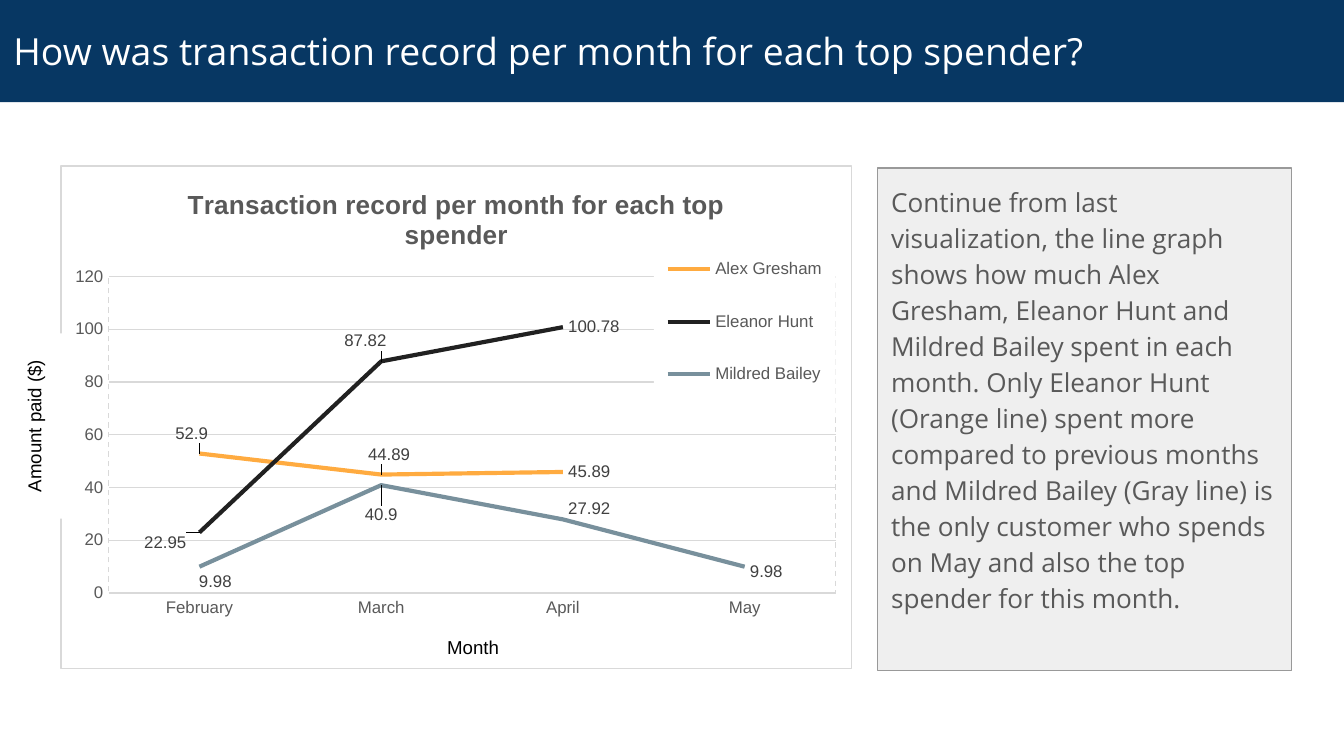
"""Build a slide with a line chart of monthly spending and a commentary panel."""
from pptx import Presentation
from pptx.chart.data import CategoryChartData
from pptx.dml.color import RGBColor
from pptx.enum.chart import XL_CHART_TYPE as CT, XL_LABEL_POSITION as LP
from pptx.enum.chart import XL_LEGEND_POSITION as LEG, XL_TICK_MARK as TICK
from pptx.enum.text import MSO_ANCHOR as ANCHOR, MSO_AUTO_SIZE as FIT, PP_ALIGN as AL
from pptx.oxml import parse_xml
from pptx.oxml.ns import nsdecls, qn
from pptx.util import Inches, Pt


def rgb(h):
    return RGBColor.from_string(h)


def layout(parent, index, values, mode):
    for old in parent.findall(qn("c:layout")):
        parent.remove(old)
    tags = "".join(f'<c:{k} val="{v}"/>' for k, v in zip("xywh", values))
    modes = "".join(f'<c:{k}Mode val="edge"/>' for k in "xy") if mode == "edge" else ""
    target = '<c:layoutTarget val="inner"/>' if parent.tag == qn("c:plotArea") else ""
    parent.insert(index, parse_xml(
        f'<c:layout {nsdecls("c")}><c:manualLayout>{target}{modes}{tags}'
        "</c:manualLayout></c:layout>"))


prs = Presentation()
prs.slide_width, prs.slide_height = Inches(10), Inches(10 * 9 / 16)
s = prs.slides.add_slide(prs.slide_layouts[1])
title, body = s.placeholders

panels = [
    (title, (0, 0, 10, 0.76), "073763", None, ANCHOR.MIDDLE, 20, "FFFFFF",
     "How was transaction record per month for each top spender?"),
    (body, (6.53, 1.25, 3.08, 3.74), "EFEFEF", "999999", ANCHOR.TOP, 14, "595959",
     "Continue from last visualization, the line graph shows how much Alex Gresham, "
     "Eleanor Hunt and Mildred Bailey spent in each month. Only Eleanor Hunt (Orange "
     "line) spent more compared to previous months and Mildred Bailey (Gray line) is "
     "the only customer who spends on May and also the top spender for this month."),
]
for sp, box, fill, line, anchor, size, color, text in panels:
    sp.left, sp.top, sp.width, sp.height = map(Inches, box)
    sp.fill.solid()
    sp.fill.fore_color.rgb = rgb(fill)
    if line:
        sp.line.color.rgb, sp.line.width = rgb(line), Pt(0.75)
    tf = sp.text_frame
    tf.text = text
    fmt = dict(word_wrap=True, auto_size=FIT.NONE, vertical_anchor=anchor)
    fmt.update({f"margin_{side}": Inches(0.1) for side in ("left", "right", "top", "bottom")})
    for k, v in fmt.items():
        setattr(tf, k, v)
    p = tf.paragraphs[0]
    p.alignment, p.space_before = AL.LEFT, Pt(0)
    f = p.runs[0].font
    f.name, f.size, f.color.rgb = "Open Sans", Pt(size), rgb(color)

p.line_spacing, p.space_after = 1.15, Pt(16)
pPr = p._p.get_or_add_pPr()
pPr.set("marL", "0")
pPr.set("indent", "0")
pPr.append(parse_xml(f'<a:buNone {nsdecls("a")}/>'))

spenders = [
    ("Alex Gresham", "FFAB40", (52.9, 44.89, 45.89, None),
     [(LP.ABOVE, -0.01, -0.01), (LP.ABOVE, 0.01, -0.01), (LP.RIGHT, 0, 0)]),
    ("Eleanor Hunt", "212121", (22.95, 87.82, 100.78, None),
     [(LP.LEFT, -0.01, 0.02), (LP.ABOVE, -0.02, -0.01), (LP.RIGHT, 0, 0)]),
    ("Mildred Bailey", "78909C", (9.98, 40.9, 27.92, 9.98),
     [(LP.BELOW, 0.02, 0), (LP.BELOW, 0, 0.03), (LP.RIGHT, 0, -0.02), (LP.RIGHT, 0, 0.01)]),
]
cd = CategoryChartData()
cd.categories = ["February", "March", "April", "May"]
for name, color, values, labels in spenders:
    cd.add_series(name, values)
chart = s.shapes.add_chart(CT.LINE, *map(Inches, (0.45, 1.23, 5.89, 3.75)), cd).chart
chart.has_title = chart.has_legend = True
chart.chart_title.text_frame.text = "Transaction record per month for each top spender"
chart.legend.position, chart.legend.include_in_layout = LEG.BOTTOM, False
cat, val = chart.category_axis, chart.value_axis
fonts = [
    (chart.font, 10, "000000", False),
    (chart.chart_title.text_frame.paragraphs[0].runs[0].font, 14, "595959", True),
    (chart.legend.font, 9, "595959", False),
    (cat.tick_labels.font, 9, "595959", False),
    (val.tick_labels.font, 9, "595959", False),
]

for ser, (name, color, values, labels) in zip(chart.plots[0].series, spenders):
    ser.smooth = False
    ser.format.line.color.rgb, ser.format.line.width = rgb(color), Pt(2.25)
    dls = ser.data_labels
    dls.show_value = True
    fonts.append((dls.font, 9, "404040", False))
    for i, (position, dx, dy) in enumerate(labels):
        dl = ser.points[i].data_label
        fonts.append((dl.font, 9, "404040", False))
        dl.position = position
        layout(dls._element.findall(qn("c:dLbl"))[i], 1, (dx, dy), "offset")
    dls._element.append(parse_xml(
        f'<c:extLst {nsdecls("c")}><c:ext uri="{{CE6537A1-D6FC-4f65-9D91-7224C49458BB}}" '
        'xmlns:c15="http://schemas.microsoft.com/office/drawing/2012/chart">'
        '<c15:showLeaderLines val="0"/></c:ext></c:extLst>'))

for f, size, color, bold in fonts:
    f.name, f.size, f.bold, f.color.rgb = "Arial", Pt(size), bold, rgb(color)

for axis in (cat, val):
    axis.major_tick_mark = axis.minor_tick_mark = TICK.NONE
for k, v in dict(minimum_scale=0, maximum_scale=120, major_unit=20).items():
    setattr(val, k, v)
val.format.line.fill.background()
for fmt in (cat.format, val.major_gridlines.format):
    fmt.line.color.rgb, fmt.line.width = rgb("D9D9D9"), Pt(0.75)

space = chart._chartSpace
plot, legend = (next(space.iter(qn(t))) for t in ("c:plotArea", "c:legend"))
layout(plot, 0, (0.06, 0.22, 0.92, 0.63), "edge")
layout(legend, 1, (0.75, 0.12, 0.23, 0.38), "edge")

white = '<a:solidFill><a:srgbClr val="FFFFFF"/></a:solidFill>'
gray = white.replace("FFFFFF", "D9D9D9")
for before, fill, line in [
    (space.find(qn("c:chart")), white, gray),
    (plot[-1], "<a:noFill/>", gray + '<a:prstDash val="dash"/>'),
    (legend.find(qn("c:overlay")), white, "<a:noFill/>"),
]:
    before.addnext(parse_xml(
        f'<c:spPr {nsdecls("c", "a")}>{fill}<a:ln w="9525">{line}</a:ln></c:spPr>'))

for text, box, vert in [("Amount paid ($)", (0.12, 2.48, 0.37, 1.38), "vert270"),
                        ("Month", (3.12, 4.68, 0.8, 0.27), "horz")]:
    sp = s.shapes.add_textbox(*map(Inches, box))
    sp.fill.solid()
    sp.fill.fore_color.rgb = rgb("FFFFFF")
    tf = sp.text_frame
    tf.text, tf.word_wrap, tf.auto_size = text, True, FIT.SHAPE_TO_FIT_TEXT
    tf._txBody.bodyPr.set("vert", vert)
    p = tf.paragraphs[0]
    p.alignment = AL.CENTER
    f = p.runs[0].font
    f.name, f.size, f.color.rgb = "Arial", Pt(10), rgb("000000")

prs.save("out.pptx")
